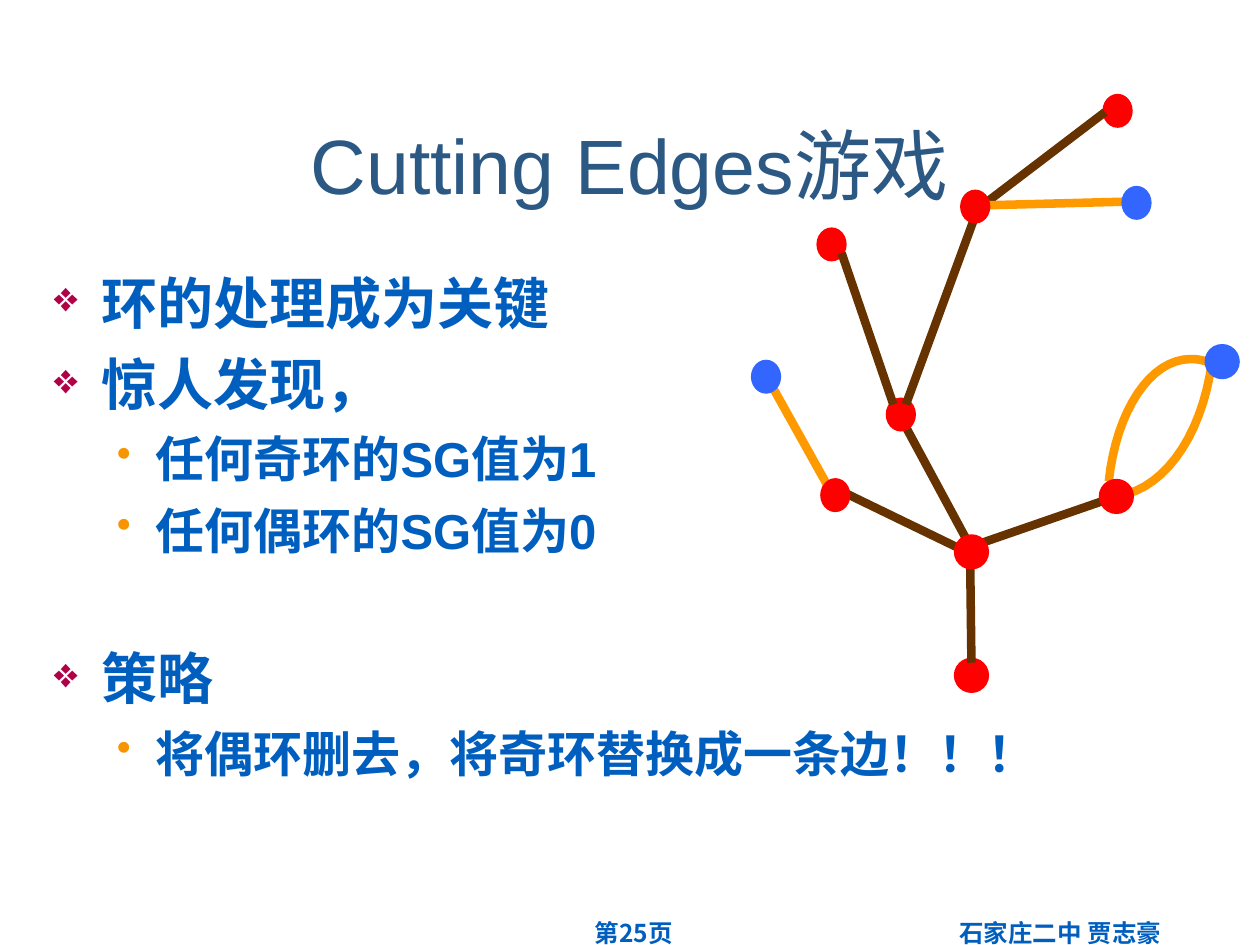
"""Build the Cutting Edges game slide with its bullet list and edge tree."""
import lxml.etree
import pptx
import pptx.dml.color
import pptx.enum.shapes
import pptx.enum.text
import pptx.oxml
import pptx.oxml.ns
import pptx.util

Inches = pptx.util.Inches
Pt = pptx.util.Pt
RGBColor = pptx.dml.color.RGBColor
ALIGN = pptx.enum.text.PP_ALIGN
ANCHOR = pptx.enum.text.MSO_ANCHOR
qn = pptx.oxml.ns.qn

BLUE_TEXT = RGBColor(0x00, 0x5F, 0xBE)
TITLE_BLUE = RGBColor(0x2C, 0x58, 0x84)
CRIMSON = RGBColor(0xB2, 0x00, 0x48)
AMBER = RGBColor(0xF8, 0x94, 0x00)
RED = RGBColor(0xFF, 0x00, 0x00)
BLUE = RGBColor(0x33, 0x66, 0xFF)
BROWN = RGBColor(0x66, 0x33, 0x00)
ORANGE = RGBColor(0xFF, 0x99, 0x00)

LABELS = [
    ("石家庄二中 贾志豪", (6.83, 7.24, 3.17, 0.52), "Arial", 14, True, BLUE_TEXT, ANCHOR.TOP),
    ("第25页", (3.78, 7.24, 2.5, 0.52), "Noto Sans CJK KR", 14, True, BLUE_TEXT, ANCHOR.TOP),
    ("Cutting Edges游戏", (0.33, 0.67, 9.34, 1.25), "Arial", 44, False, TITLE_BLUE, ANCHOR.MIDDLE),
]

BODY_BOX = (0.33, 2.08, 9.34, 4.59)
BODY = [
    (0, "环的处理成为关键", 0),
    (0, "惊人发现，", 8),
    (1, "任何奇环的SG值为1", 7),
    (1, "任何偶环的SG值为0", 7),
    (0, "策略", 48.6),
    (1, "将偶环删去，将奇环替换成一条边！！！", 7),
]
LEVELS = [
    {"bullet": "❖", "color": CRIMSON, "percent": 75, "margin": 0.38, "indent": -0.38, "size": 32},
    {"bullet": "•", "color": AMBER, "percent": 85, "margin": 0.81, "indent": -0.31, "size": 28},
]

EDGE_WIDTH = 4.88
LARGE = (0.28, 0.28)
SMALL = (0.24, 0.27)
TREE = [
    ("node", RED, (7.71, 5.36), LARGE),
    ("edge", BROWN, (7.7, 4.47), (7.71, 5.26)),
    ("edge", BROWN, (7.19, 3.39), (7.67, 4.28)),
    ("edge", BROWN, (6.66, 3.89), (7.65, 4.37)),
    ("edge", BROWN, (7.76, 4.32), (8.8, 3.96)),
    ("edge", ORANGE, (6.13, 3.07), (6.56, 3.84)),
    ("node", BLUE, (6.08, 2.99), SMALL),
    ("node", RED, (6.63, 3.93), SMALL),
    ("curve", ORANGE, [(8.8, 3.94), (9.2, 3.94), (9.54, 3.49), (9.62, 2.86)]),
    ("curve", ORANGE, [(9.62, 2.89), (9.56, 2.86), (9.51, 2.85), (9.45, 2.85),
                       (9.13, 2.85), (8.86, 3.26), (8.8, 3.82)]),
    ("node", RED, (8.86, 3.94), LARGE),
    ("node", BLUE, (9.7, 2.87), LARGE),
    ("node", RED, (7.15, 3.29), SMALL),
    ("node", RED, (6.6, 1.94), SMALL),
    ("node", RED, (8.87, 0.88), SMALL),
    ("edge", BROWN, (6.68, 2.01), (7.09, 3.21)),
    ("edge", BROWN, (7.73, 1.74), (7.19, 3.21)),
    ("edge", BROWN, (7.85, 1.59), (8.77, 0.89)),
    ("edge", ORANGE, (7.8, 1.63), (8.95, 1.6)),
    ("node", BLUE, (9.02, 1.61), SMALL),
    ("node", RED, (7.74, 1.64), SMALL),
    ("node", RED, (7.71, 4.38), LARGE),
]


def add_text_frame(slide, box):
    frame = slide.shapes.add_textbox(*map(Inches, box)).text_frame
    frame.word_wrap = True
    return frame


def set_font(paragraph, name, size, bold, color):
    font = paragraph.font
    font.name, font.size, font.bold = name, Pt(size), bold
    font.color.rgb = color


def add_label(slide, text, box, name, size, bold, color, anchor):
    frame = add_text_frame(slide, box)
    frame.vertical_anchor = anchor
    paragraph = frame.paragraphs[0]
    paragraph.text = text
    paragraph.alignment = ALIGN.CENTER
    set_font(paragraph, name, size, bold, color)


def add_bullet(paragraph, style):
    properties = paragraph._p.get_or_add_pPr()
    properties.set("marL", str(Inches(style["margin"])))
    properties.set("indent", str(Inches(style["indent"])))
    color = lxml.etree.SubElement(properties, qn("a:buClr"))
    lxml.etree.SubElement(color, qn("a:srgbClr"), val=str(style["color"]))
    lxml.etree.SubElement(properties, qn("a:buSzPct"), val=str(style["percent"] * 1000))
    lxml.etree.SubElement(properties, qn("a:buChar"), char=style["bullet"])


def add_body(slide):
    frame = add_text_frame(slide, BODY_BOX)
    for index, (level, text, space) in enumerate(BODY):
        paragraph = frame.add_paragraph() if index else frame.paragraphs[0]
        paragraph.text = text
        paragraph.level = level
        add_bullet(paragraph, LEVELS[level])
        paragraph.space_before = Pt(space)
        set_font(paragraph, "Arial", LEVELS[level]["size"], True, BLUE_TEXT)


def add_node(slide, color, center, size):
    corner = [middle - length / 2 for middle, length in zip(center, size)]
    node = slide.shapes.add_shape(
        pptx.enum.shapes.MSO_SHAPE.OVAL, *map(Inches, (*corner, *size)))
    node.shadow.inherit = False
    node.fill.solid()
    node.fill.fore_color.rgb = color
    node.line.fill.background()


def style_line(shape, color):
    shape.line.color.rgb = color
    shape.line.width = Pt(EDGE_WIDTH)


def add_edge(slide, color, start, end):
    edge = slide.shapes.add_connector(
        pptx.enum.shapes.MSO_CONNECTOR.STRAIGHT, *map(Inches, (*start, *end)))
    style_line(edge, color)
    lxml.etree.SubElement(edge._element.spPr, qn("a:effectLst"))


def bezier_points(controls, steps=16):
    for first in range(0, len(controls) - 1, 3):
        for step in range(1, steps + 1):
            t = step / steps
            weights = ((1 - t) ** 3, 3 * t * (1 - t) ** 2, 3 * t ** 2 * (1 - t), t ** 3)
            yield tuple(sum(weight * value for weight, value in zip(weights, axis))
                        for axis in zip(*controls[first:first + 4]))


def add_curve(slide, color, controls):
    builder = slide.shapes.build_freeform(*controls[0], scale=Inches(1))
    builder = slide.shapes.build_freeform(*map(Inches, controls[0]))
    builder.add_line_segments(
        [tuple(map(Inches, point)) for point in bezier_points(controls)], close=False)
    curve = builder.convert_to_shape()
    curve.shadow.inherit = False
    curve.fill.background()
    style_line(curve, color)


def main():
    presentation = pptx.Presentation()
    presentation.slide_width, presentation.slide_height = Inches(10), Inches(7.5)
    slide = presentation.slides.add_slide(presentation.slide_layouts[6])
    for label in LABELS:
        add_label(slide, *label)
    add_body(slide)
    drawers = {"node": add_node, "edge": add_edge, "curve": add_curve}
    for kind, *details in TREE:
        drawers[kind](slide, *details)
    presentation.save("out.pptx")


if __name__ == "__main__":
    main()
